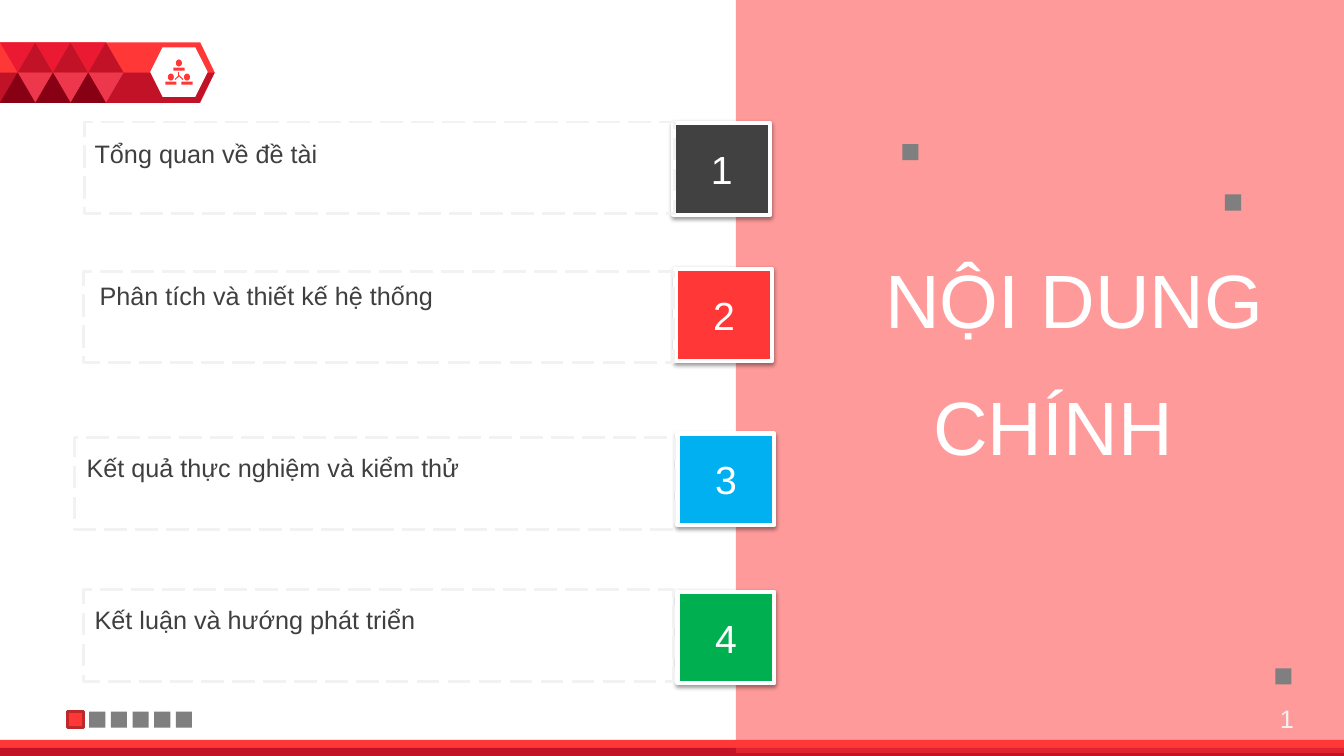
from lxml.etree import SubElement
from pptx import Presentation
from pptx.dml.color import RGBColor
from pptx.enum.dml import MSO_LINE_DASH_STYLE as DASH
from pptx.enum.shapes import MSO_CONNECTOR as CONNECTOR, MSO_SHAPE as SHAPE
from pptx.enum.text import MSO_ANCHOR as ANCHOR, PP_ALIGN as ALIGN
from pptx.oxml.ns import qn
from pptx.util import Inches, Pt

COLORS = {
    "white": "FFFFFF", "black": "000000", "red": "FF3737", "crimson": "C21227",
    "scarlet": "EB1932", "rose": "ED374D", "maroon": "880014", "brick": "BD2929",
    "gray": "7F7F7F", "pale": "F2F2F2", "text": "3F3F3F", "charcoal": "414141",
    "blue": "00B0F0", "green": "00B050",
}
FONT = "Arial"
SQUARE = 0.16
TILE_SIZE = (0.96, 0.91)
SECTIONS = [
    ("Tổng quan về đề tài", "charcoal", (6.68, 1.22), (0.84, 1.21, 5.85, 0.91), (0.84, 1.32)),
    ("Phân tích và thiết kế hệ thống", "red", (6.7, 2.67), (0.83, 2.69, 5.85, 0.91), (0.89, 2.73)),
    ("Kết quả thực nghiệm và kiểm thử", "blue", (6.72, 4.3), (0.74, 4.34, 5.95, 0.91), (0.76, 4.44)),
    ("Kết luận và hướng phát triển", "green", (6.72, 5.87), (0.83, 5.85, 5.85, 0.91), (0.84, 5.95)),
]


def rgb(name):
    return RGBColor.from_string(COLORS[name])


def set_alpha(color_element, percent):
    SubElement(color_element, qn("a:alpha"), val=str(percent * 1000))


def paint(shape, fill=None, line=None, width=0, dash=None):
    shape.shadow.inherit = False
    if fill:
        shape.fill.solid()
        shape.fill.fore_color.rgb = rgb(fill)
    else:
        shape.fill.background()
    if line:
        shape.line.color.rgb = rgb(line)
        shape.line.width = Pt(width)
        shape.line.dash_style = dash
    else:
        shape.line.fill.background()
    return shape


def add_block(slide, kind, box, **style):
    shape = slide.shapes.add_shape(kind, *map(Inches, box))
    return paint(shape, **style)


def add_outline(slide, points, fill):
    corners = [(Inches(x), Inches(y)) for x, y in points]
    builder = slide.shapes.build_freeform(*corners[0])
    builder.add_line_segments(corners[1:])
    return paint(builder.convert_to_shape(), fill=fill)


def write(shape, text, size, color, align):
    frame = shape.text_frame
    frame.word_wrap = True
    paragraph = frame.paragraphs[0]
    paragraph.alignment = align
    run = paragraph.add_run()
    run.text = text
    for name, value in {"name": FONT, "size": Pt(size)}.items():
        setattr(run.font, name, value)
    run.font.color.rgb = rgb(color)


def add_label(slide, box, text, size, color, align=ALIGN.LEFT):
    write(slide.shapes.add_textbox(*map(Inches, box)), text, size, color, align)


def add_shadow(shape):
    effects = shape._element.spPr.find(qn("a:effectLst"))
    shadow = SubElement(effects, qn("a:outerShdw"), blurRad=str(Pt(3.1)),
                        dist=str(Pt(1.6)), dir="5400000", algn="t", rotWithShape="0")
    set_alpha(SubElement(shadow, qn("a:srgbClr"), val=COLORS["black"]), 38)


def add_network_icon(slide, box):
    left, top, width, height = box
    center = left + width / 2
    person_width, person_height = 0.11, 0.11
    hub = (center, top + 0.16)
    for x, y in [(center, top + 0.12), (center - 0.04, top + 0.2), (center + 0.04, top + 0.2)]:
        link = slide.shapes.add_connector(CONNECTOR.STRAIGHT, *map(Inches, (*hub, x, y)))
        link.line.color.rgb = rgb("red")
        link.line.width = Pt(0.75)
        SubElement(link._element.spPr, qn("a:effectLst"))
    low = top + height - person_height
    for x, y in [(center, top), (left + person_width / 2, low),
                 (left + width - person_width / 2, low)]:
        add_block(slide, SHAPE.OVAL, (x - 0.03, y, 0.06, 0.07), fill="red")
        add_block(slide, SHAPE.ROUND_2_SAME_RECTANGLE,
                  (x - person_width / 2, y + 0.08, person_width, 0.03), fill="red")


def add_badge(slide, box):
    left, top, width, height = box
    middle, bottom, right = top + height / 2, top + height, left + width
    base = add_block(slide, SHAPE.PENTAGON, box, fill="red")
    base.adjustments[0] = 0.24
    add_outline(slide, [(left, middle), (right, middle), (right - 0.15, bottom), (left, bottom)],
                "crimson")
    add_block(slide, SHAPE.HEXAGON, (left + 1.49, top + 0.05, 0.57, 0.49), fill="white")
    add_network_icon(slide, (left + 1.64, top + 0.17, 0.27, 0.25))
    side, rise = 0.35, 0.3
    pattern = [(0, top, 180, "scarlet"), (side / 2, top, 0, "crimson"),
               (side / 2, middle, 180, "rose"), (0, middle, 0, "maroon")]
    for column in range(3):
        for shift, y, rotation, color in pattern:
            triangle = add_block(slide, SHAPE.ISOSCELES_TRIANGLE,
                                 (left + column * side + shift, y, side, rise), fill=color)
            triangle.rotation = rotation


def add_footer_bar(slide, box):
    left, top, width, height = box
    add_block(slide, SHAPE.RECTANGLE, box, fill="red")
    add_block(slide, SHAPE.RECTANGLE, (left, top + height / 2, width, height / 2), fill="crimson")


def add_title_panel(slide, box):
    left, top, width, height = box
    panel = add_block(slide, SHAPE.RECTANGLE, box, fill="red")
    set_alpha(panel._element.spPr.find(qn("a:solidFill"))[0], 50)
    for word, x, y in [("NỘI DUNG", -1.34, 2.46), ("CHÍNH", -2.24, 3.72)]:
        add_label(slide, (left + x, top + y, 6.67, 1.01), word, 54, "white", ALIGN.RIGHT)
    for x, y in [(1.65, 1.43), (4.85, 1.93), (5.35, 6.63)]:
        add_block(slide, SHAPE.RECTANGLE, (left + x, top + y, SQUARE, SQUARE), fill="gray")
    add_label(slide, (left + 5.04, top + 6.93, 0.59, 0.4), "1", 18, "pale", ALIGN.RIGHT)


def add_section(slide, number, title, color, tile_corner, frame_box, title_corner):
    tile = add_block(slide, SHAPE.RECTANGLE, (*tile_corner, *TILE_SIZE),
                     fill=color, line="white", width=3)
    add_shadow(tile)
    tile.text_frame.vertical_anchor = ANCHOR.MIDDLE
    write(tile, str(number), 28, "white", ALIGN.CENTER)
    add_label(slide, (*title_corner, 5.31, 0.4), title, 18, "text")
    add_block(slide, SHAPE.RECTANGLE, frame_box, line="pale", width=2, dash=DASH.LONG_DASH)


def add_progress_squares(slide, left, top, count):
    for index in range(count):
        style = {"fill": "gray"} if index else {"fill": "red", "line": "brick", "width": 2}
        add_block(slide, SHAPE.RECTANGLE,
                  (left + index * 0.215, top, SQUARE, SQUARE), **style)


def main():
    presentation = Presentation()
    presentation.slide_width = Inches(13.33)
    presentation.slide_height = Inches(7.5)
    slide = presentation.slides.add_slide(presentation.slide_layouts[6])
    add_badge(slide, (0, 0.42, 2.13, 0.6))
    add_footer_bar(slide, (0, 7.34, 13.33, 0.16))
    add_title_panel(slide, (7.3, 0, 6.03, 7.47))
    for number, section in enumerate(SECTIONS, 1):
        add_section(slide, number, *section)
    add_progress_squares(slide, 0.67, 7.06, 6)
    presentation.save("out.pptx")


if __name__ == "__main__":
    main()
